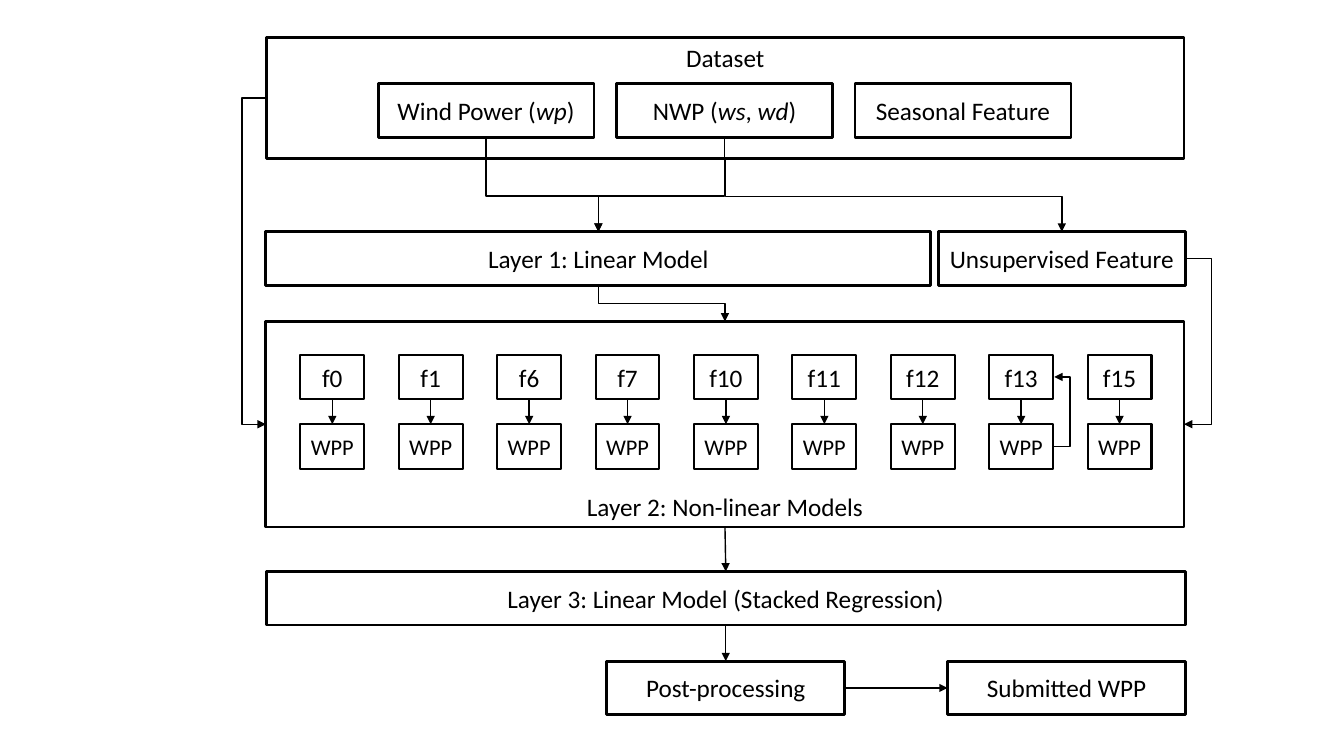
from dataclasses import dataclass

from lxml import etree
from pptx import Presentation
from pptx.dml.color import RGBColor
from pptx.enum.shapes import MSO_CONNECTOR, MSO_SHAPE
from pptx.enum.text import MSO_ANCHOR, PP_ALIGN
from pptx.oxml.ns import qn
from pptx.shapes.autoshape import Shape
from pptx.shapes.connector import Connector
from pptx.util import Cm, Pt

RECT = MSO_SHAPE.RECTANGLE
STRAIGHT, ELBOW = MSO_CONNECTOR.STRAIGHT, MSO_CONNECTOR.ELBOW
TOP, MIDDLE, BOTTOM = MSO_ANCHOR.TOP, MSO_ANCHOR.MIDDLE, MSO_ANCHOR.BOTTOM
CENTER = PP_ALIGN.CENTER
NORTH, WEST, SOUTH, EAST = range(4)


@dataclass(frozen=True)
class Theme:
    ink: RGBColor = RGBColor(0, 0, 0)
    font: str = "Calibri"
    text: Pt = Pt(18)
    small: Pt = Pt(16)
    frame: Pt = Pt(2)
    thin: Pt = Pt(1.5)
    wire: Pt = Pt(1)


@dataclass(frozen=True)
class Box:
    text: str
    left: float
    top: float
    width: float
    height: float = 1.35
    anchor: MSO_ANCHOR = MIDDLE
    size: Pt = Theme.text
    line: Pt = Theme.frame

    def side(self, site: int) -> tuple[float, float]:
        mid_x, mid_y = self.left + self.width / 2, self.top + self.height / 2
        return {
            NORTH: (mid_x, self.top),
            WEST: (self.left, mid_y),
            SOUTH: (mid_x, self.top + self.height),
            EAST: (self.left + self.width, mid_y),
        }[site]


theme = Theme()
deck = Presentation()
deck.slide_width, deck.slide_height = Cm(33.87), Cm(19.05)
slide = deck.slides.add_slide(deck.slide_layouts[6])


def draw(box: Box) -> Shape:
    shape = slide.shapes.add_shape(
        RECT, Cm(box.left), Cm(box.top), Cm(box.width), Cm(box.height))
    shape.shadow.inherit = False
    shape.fill.background()
    shape.line.color.rgb = theme.ink
    shape.line.width = box.line
    frame = shape.text_frame
    style = {"word_wrap": True, "vertical_anchor": box.anchor,
             "margin_left": 0, "margin_right": 0}
    for name, value in style.items():
        setattr(frame, name, value)
    para = frame.paragraphs[0]
    para.alignment = CENTER
    for index, part in enumerate(box.text.split("|")):
        run = para.add_run()
        run.text = part
        run.font.color.rgb = theme.ink
        style = {"name": theme.font, "size": box.size, "italic": index % 2 == 1}
        for name, value in style.items():
            setattr(run.font, name, value)
    return shape


def finish(wire: Connector) -> None:
    wire.line.color.rgb = theme.ink
    wire.line.width = theme.wire
    props = wire._element.spPr
    etree.SubElement(props.find(qn("a:ln")), qn("a:tailEnd"), type="triangle")
    etree.SubElement(props, qn("a:effectLst"))


def link(start: Shape, end: Shape, leave: int = SOUTH, enter: int = NORTH) -> None:
    wire = slide.shapes.add_connector(STRAIGHT, 0, 0, 0, 0)
    wire.begin_connect(start, leave)
    wire.end_connect(end, enter)
    finish(wire)


def bend(start: tuple[float, float], end: tuple[float, float],
         turn: float, down: bool = False) -> None:
    (x1, y1), (x2, y2) = start, end
    ratio = (turn - y1) / (y2 - y1) if down else (turn - x1) / (x2 - x1)
    angle = 0
    if down:
        mid_x, mid_y = (x1 + x2) / 2, (y1 + y2) / 2
        half_x, half_y = (y2 - y1) / 2, abs(x2 - x1) / 2
        angle = 270 if x2 > x1 else 90
        way = -1 if x2 > x1 else 1
        x1, x2 = mid_x - way * half_x, mid_x + way * half_x
        y1, y2 = mid_y - half_y, mid_y + half_y
    wire = slide.shapes.add_connector(ELBOW, Cm(x1), Cm(y1), Cm(x2), Cm(y2))
    wire.rotation = angle
    guides = wire._element.spPr.find(qn("a:prstGeom")).find(qn("a:avLst"))
    etree.SubElement(guides, qn("a:gd"), name="adj1",
                     fmla=f"val {round(ratio * 100000)}")
    finish(wire)


data = Box("Dataset", 6.72, 0.94, 23.12, 3.05, TOP)
wind, forecast, season = [
    Box(text, 9.53 + 6.01 * i, 2.11, 5.44)
    for i, text in enumerate(
        ["Wind Power (|wp|)", "NWP (|ws|, |wd|)", "Seasonal Feature"])
]
first = Box("Layer 1: Linear Model", 6.7, 5.84, 16.76)
extra = Box("Unsupervised Feature", 23.65, 5.84, 6.22)
second = Box("Layer 2: Non-linear Models", 6.7, 8.1, 23.14, 5.18, BOTTOM)
third = Box("Layer 3: Linear Model (Stacked Regression)", 6.71, 14.4, 23.16)
post = Box("Post-processing", 15.29, 16.66, 6)
final = Box("Submitted WPP", 23.88, 16.66, 6)

for box in (data, wind, forecast, season, first, extra):
    draw(box)
layers = [draw(box) for box in (second, third, post)]
for upper, lower in zip(layers, layers[1:]):
    link(upper, lower)
link(layers[-1], draw(final), EAST, WEST)

models = ["f0", "f1", "f6", "f7", "f10", "f11", "f12", "f13", "f15"]
for i, name in enumerate(models):
    left = 7.57 + 2.48 * i
    model = Box(name, left, 8.94, 1.61, 1.12, line=theme.thin)
    power = Box("WPP", left, 10.69, 1.61, 1.12, size=theme.small, line=theme.thin)
    link(draw(model), draw(power))
    if name == "f13":
        x, y = model.side(EAST)
        bend(power.side(EAST), (x + 0.03, y), x + 0.43)

for source in (wind, forecast):
    bend(source.side(SOUTH), first.side(NORTH), 4.94, down=True)
bend(data.side(SOUTH), extra.side(NORTH), 4.95, down=True)
bend(first.side(SOUTH), second.side(NORTH), 7.65, down=True)
bend(data.side(WEST), second.side(WEST), 6.1)
bend(extra.side(EAST), second.side(EAST), 30.53)

deck.save("out.pptx")
